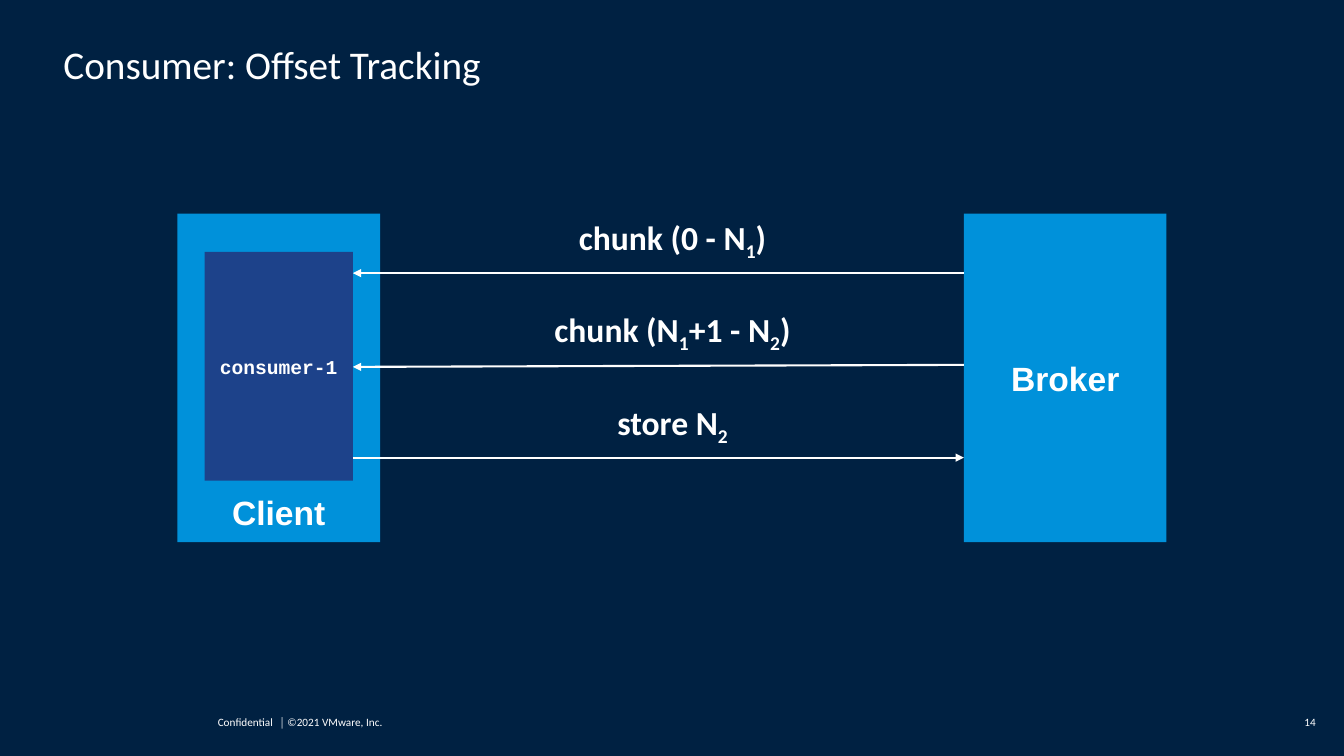
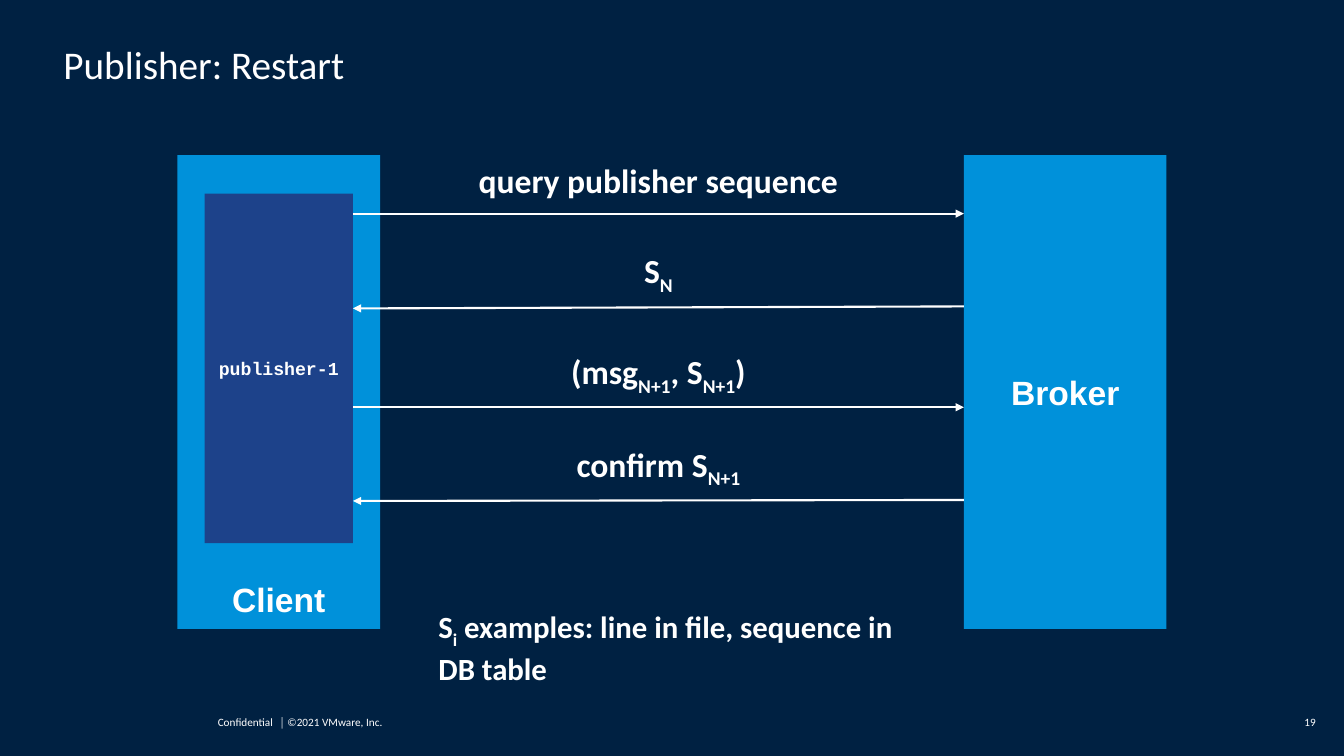
from dataclasses import dataclass

from lxml.etree import SubElement
from pptx import Presentation
from pptx.dml.color import RGBColor
from pptx.enum.shapes import MSO_CONNECTOR as Connector, MSO_SHAPE as Shape
from pptx.enum.text import MSO_ANCHOR as Anchor, PP_ALIGN as Align
from pptx.oxml.ns import qn
from pptx.util import Inches, Pt

# Palette
NAVY = RGBColor(0x00, 0x21, 0x42)
SKY = RGBColor(0x00, 0x91, 0xDA)
ROYAL = RGBColor(0x1D, 0x42, 0x8A)
WHITE = RGBColor(0xFF, 0xFF, 0xFF)

# Text styles
TITLE = dict(name="Calibri", size=Pt(28))
FOOTER = dict(name="Calibri", size=Pt(8))
LABEL = dict(name="Calibri", size=Pt(24), bold=True)
NOTE = dict(name="Calibri", size=Pt(22), bold=True)
NODE = dict(name="Arial", size=Pt(24), bold=True)

# Diagram geometry in inches
CLIENT_X, BROKER_X, NODE_WIDTH = 1.76, 9.56, 2.01
WORKER_INSET, WORKER_TOP = 0.27, 0.38
WORKER_WIDTH = NODE_WIDTH - 2 * WORKER_INSET
LABEL_WIDTH, LABEL_HEIGHT, LABEL_RISE = 4.11, 0.44, 0.55


@dataclass
class Message:
    text: str
    to_broker: bool
    y: float  # broker end, below the top of the diagram
    drop: float = 0  # how much lower the client end is


@dataclass
class Diagram:
    title: str
    number: str
    top: float
    height: float
    worker: str
    worker_size: int
    worker_height: float
    label_center: float
    messages: list
    note: str = ""


DIAGRAMS = [
    Diagram("Consumer: Offset Tracking", "14", 2.12, 3.26,
            "consumer-1", 14, 2.27, 6.67, [
                Message("chunk (0 - N_1_)", False, 0.59),
                Message("chunk (N_1_+1 - N_2_)", False, 1.5, 0.02),
                Message("store N_2_", True, 2.42)]),
    Diagram("Publisher: Restart", "19", 1.54, 4.7,
            "publisher-1", 13, 3.47, 6.53, [
                Message("query publisher sequence", True, 0.58),
                Message("S_N_", False, 1.5, 0.02),
                Message("(msg_N+1_, S_N+1_)", True, 2.5),
                Message("confirm S_N+1_", False, 3.42, 0.01)],
            "S_i_ examples: line in file, sequence in DB table"),
]


def write(shape, text, style, align=Align.LEFT, anchor=Anchor.MIDDLE,
          inset=0.1, spacing=None, tab=None):
    """Fill a shape with one paragraph; _underscores_ enclose subscripts."""
    frame = shape.text_frame
    settings = dict(word_wrap=True, vertical_anchor=anchor)
    for side in ("left", "top", "right", "bottom"):
        settings["margin_" + side] = Inches(inset)
    for name, value in settings.items():
        setattr(frame, name, value)

    paragraph = frame.paragraphs[0]
    if tab is not None:
        tabs = SubElement(paragraph._p.get_or_add_pPr(), qn("a:tabLst"))
        SubElement(tabs, qn("a:tab"), pos=str(Inches(tab)), algn="l")
    paragraph.alignment = align
    paragraph.line_spacing = spacing
    for index, piece in enumerate(text.split("_")):
        if not piece:
            continue
        run = paragraph.add_run()
        run.text = piece
        for name, value in style.items():
            setattr(run.font, name, value)
        run.font.color.rgb = WHITE
        if index % 2:
            run.font._element.set("baseline", "-25000")


def add_text(slide, box, text, style, **options):
    shape = slide.shapes.add_textbox(*map(Inches, box))
    write(shape, text, style, **options)


def add_node(slide, box, color, text, style, anchor=Anchor.MIDDLE):
    shape = slide.shapes.add_shape(Shape.RECTANGLE, *map(Inches, box))
    shape.shadow.inherit = False
    shape.fill.solid()
    shape.fill.fore_color.rgb = color
    shape.line.fill.background()
    write(shape, text, style, Align.CENTER, anchor)


def add_message(slide, top, message, label_center):
    """Draw an arrow between client and broker with its label above."""
    y = top + message.y
    worker_edge = CLIENT_X + WORKER_INSET + WORKER_WIDTH
    ends = (worker_edge, y + message.drop, BROKER_X, y)
    arrow = slide.shapes.add_connector(Connector.STRAIGHT, *map(Inches, ends))
    arrow.line.color.rgb = WHITE
    arrow.line.width = Pt(1.5)
    end = "a:tailEnd" if message.to_broker else "a:headEnd"
    SubElement(arrow.line._get_or_add_ln(), qn(end), type="triangle")
    SubElement(arrow._element.spPr, qn("a:effectLst"))

    box = (label_center - LABEL_WIDTH / 2, y - LABEL_RISE, LABEL_WIDTH, LABEL_HEIGHT)
    add_text(slide, box, message.text, LABEL, align=Align.CENTER)


def add_frame(slide, title, number):
    """Background, title and footer shared by all slides."""
    slide.background.fill.solid()
    slide.background.fill.fore_color.rgb = NAVY
    plain = dict(inset=0, spacing=0.9)
    add_text(slide, (0.63, 0.45, 12.03, 0.42), title, TITLE,
             anchor=Anchor.BOTTOM, **plain)
    add_text(slide, (2.16, 7.07, 1.89, 0.2),
             "Confidential\t│ ©2021 VMware, Inc.", FOOTER, tab=0.61, **plain)
    add_text(slide, (12.57, 7.07, 0.48, 0.2), number, FOOTER,
             align=Align.RIGHT, **plain)


def add_diagram(slide, diagram):
    """Client with its worker, broker, and the messages between them."""
    top, height = diagram.top, diagram.height
    add_node(slide, (CLIENT_X, top, NODE_WIDTH, height), SKY, "Client", NODE,
             Anchor.BOTTOM)
    add_node(slide, (BROKER_X, top, NODE_WIDTH, height), SKY, "Broker", NODE)
    worker_box = (CLIENT_X + WORKER_INSET, top + WORKER_TOP,
                  WORKER_WIDTH, diagram.worker_height)
    worker_style = dict(name="Courier New", size=Pt(diagram.worker_size), bold=True)
    add_node(slide, worker_box, ROYAL, diagram.worker, worker_style)
    for message in diagram.messages:
        add_message(slide, top, message, diagram.label_center)
    if diagram.note:
        add_text(slide, (4.25, top + height - 0.04, 4.7, 0.44), diagram.note, NOTE)


def main():
    presentation = Presentation()
    presentation.slide_width = Inches(13.33)
    presentation.slide_height = Inches(7.5)
    blank = presentation.slide_layouts[6]
    for diagram in DIAGRAMS:
        slide = presentation.slides.add_slide(blank)
        add_frame(slide, diagram.title, diagram.number)
        add_diagram(slide, diagram)
    presentation.save("out.pptx")


if __name__ == "__main__":
    main()
